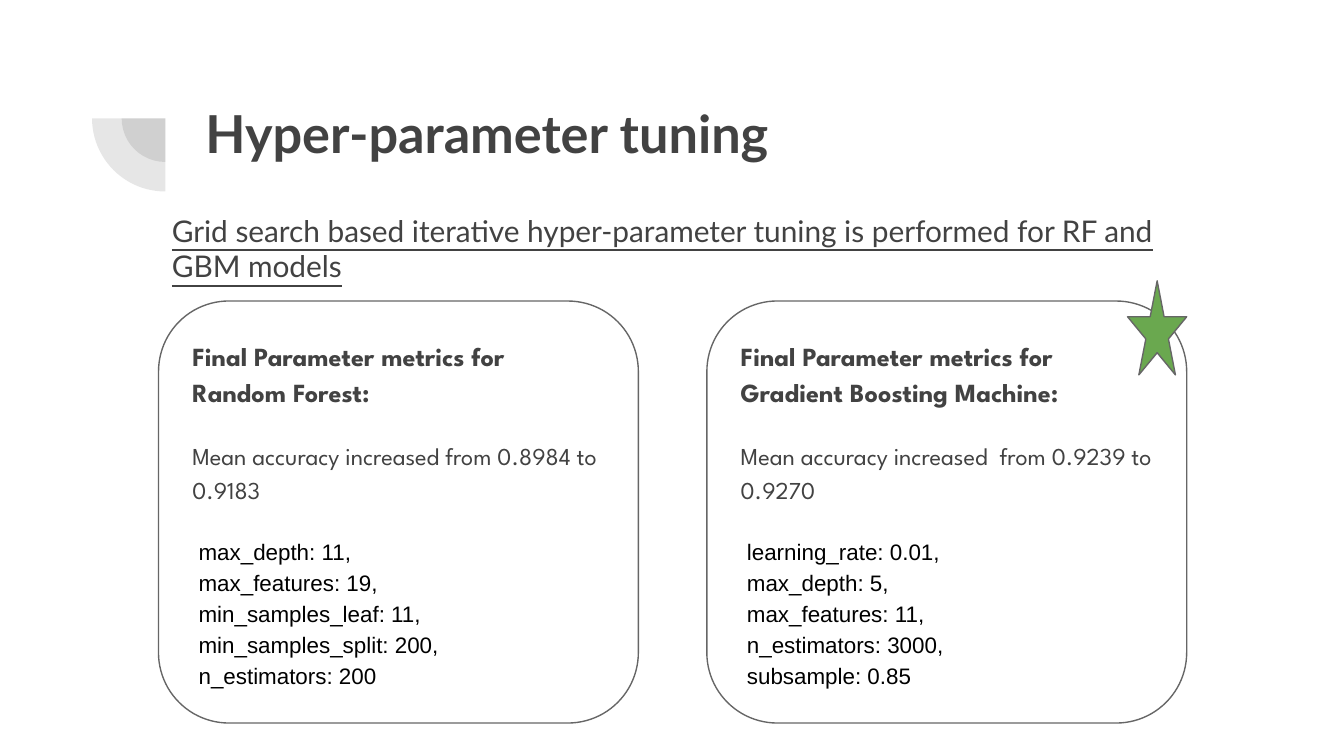
from lxml import etree
from pptx import Presentation
from pptx.dml.color import RGBColor
from pptx.enum.shapes import MSO_SHAPE
from pptx.enum.text import MSO_ANCHOR, PP_ALIGN
from pptx.oxml.ns import qn
from pptx.util import Inches, Pt

INK = "424242"
OUTLINE = "666666"
INSET = 0.1


def paint(color_format, hex_color):
    """Set a fill or font colour from a hex string."""
    color_format.rgb = RGBColor.from_string(hex_color)


def add_outlined(slide, preset, box, fill, line=None):
    """Add a flat preset shape with a solid fill and an optional outline."""
    shape = slide.shapes.add_shape(preset, *map(Inches, box))
    shape.shadow.inherit = False
    shape.fill.solid()
    paint(shape.fill.fore_color, fill)
    if line:
        paint(shape.line.color, line)
        shape.line.width = Pt(0.75)
    else:
        shape.line.fill.background()
    return shape


def prepare_frame(frame, anchor):
    """Wrap a text frame with equal insets and return it."""
    frame.word_wrap = True
    frame.vertical_anchor = anchor
    frame.margin_left = frame.margin_right = Inches(INSET)
    frame.margin_top = frame.margin_bottom = Inches(INSET)
    return frame


def add_run(paragraph, text, size, font, color=INK, bold=False, underline=False):
    """Append one formatted run to a paragraph."""
    run = paragraph.add_run()
    run.text = text
    run.font.size = Pt(size)
    run.font.name = font
    run.font.bold = bold
    run.font.underline = underline
    paint(run.font.color, color)


def add_heading(slide, box, text, size, anchor, **style):
    """Place one paragraph of heading text in the given box."""
    heading = slide.shapes.add_textbox(*map(Inches, box))
    frame = prepare_frame(heading.text_frame, anchor)
    add_run(frame.paragraphs[0], text, size, "Lato", **style)


def add_corner_mark(slide, center_x, center_y):
    """Draw two translucent quarter discs around one centre."""
    for diameter in (0.65, 1.09):
        radius = diameter / 2
        box = (center_x - radius, center_y - radius, diameter, diameter)
        quarter = add_outlined(slide, MSO_SHAPE.PIE, box, INK)
        quarter.adjustments[0] = 108
        quarter.adjustments[1] = 162
        quarter.rotation = 270
        color = quarter.element.spPr.find(qn("a:solidFill"))[0]
        etree.SubElement(color, qn("a:alpha"), val="13000")


def add_model_card(slide, box, model, accuracy, parameters):
    """Draw a rounded card with a model's accuracy and tuned parameters."""
    card = add_outlined(slide, MSO_SHAPE.ROUNDED_RECTANGLE, box, "FFFFFF", OUTLINE)
    card.adjustments[0] = 0.167
    frame = prepare_frame(card.text_frame, MSO_ANCHOR.MIDDLE)
    title, result, settings = (
        frame.paragraphs[0], frame.add_paragraph(), frame.add_paragraph())
    for paragraph in (title, result, settings):
        paragraph.alignment = PP_ALIGN.LEFT
        paragraph.line_spacing = 1.15
    result.space_before = settings.space_before = Pt(16)
    add_run(title, f"Final Parameter metrics for {model}:", 14, "League Spartan", bold=True)
    add_run(result, accuracy, 13, "League Spartan")
    for index, parameter in enumerate(parameters):
        if index:
            settings.add_line_break()
        ending = "," if index < len(parameters) - 1 else ""
        add_run(settings, f" {parameter}{ending}", 12, "Arial", "000000")


def add_winner_star(slide, box):
    """Mark the best model with a green star."""
    star = add_outlined(slide, MSO_SHAPE.STAR_5_POINT, box, "6AA84F", OUTLINE)
    star.adjustments[0] = 0.191


def main():
    """Build the hyper-parameter tuning slide."""
    deck = Presentation()
    deck.slide_width = Inches(10)
    deck.slide_height = deck.slide_width * 9 // 16
    slide = deck.slides.add_slide(deck.slide_layouts[6])
    add_corner_mark(slide, 1.23, 0.88)
    add_heading(slide, (1.43, 0.64, 7.69, 0.7), "Hyper-parameter tuning",
                28, MSO_ANCHOR.MIDDLE, bold=True)
    add_heading(slide, (1.18, 1.48, 7.81, 0.48),
                "Grid search based iterative hyper-parameter tuning "
                "is performed for RF and GBM models",
                16, MSO_ANCHOR.TOP, underline=True)
    models = [
        ("Random Forest", "Mean accuracy increased from 0.8984 to 0.9183",
         ["max_depth: 11", "max_features: 19", "min_samples_leaf: 11",
          "min_samples_split: 200", "n_estimators: 200"]),
        ("Gradient Boosting Machine", "Mean accuracy increased  from 0.9239 to 0.9270",
         ["learning_rate: 0.01", "max_depth: 5", "max_features: 11",
          "n_estimators: 3000", "subsample: 0.85"]),
    ]
    for column, model in enumerate(models):
        add_model_card(slide, (1.18 + column * 4.08, 2.24, 3.57, 3.14), *model)
    add_winner_star(slide, (8.39, 2.09, 0.44, 0.7))
    deck.save("out.pptx")


if __name__ == "__main__":
    main()
